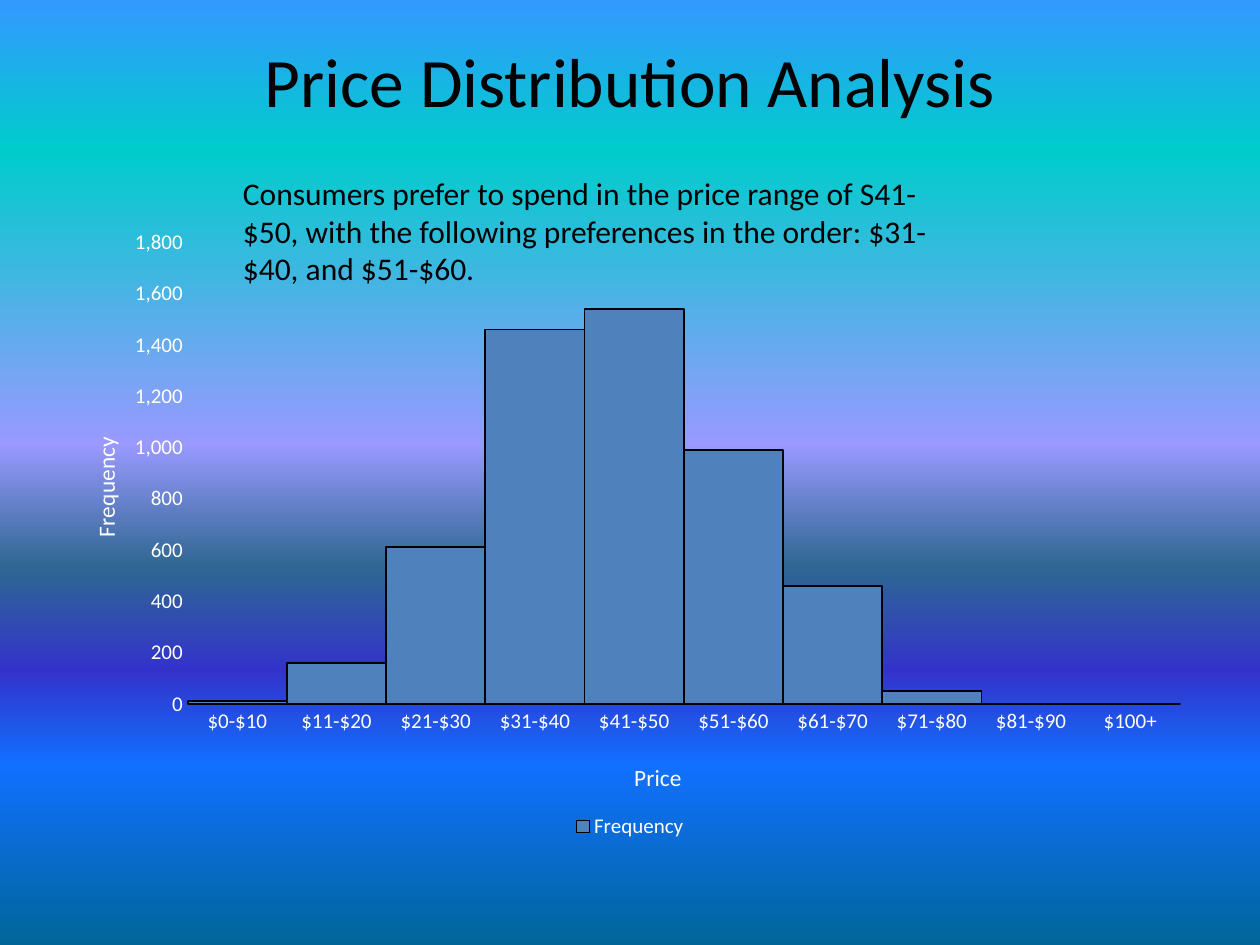
from dataclasses import dataclass
from typing import Optional

import pptx
import pptx.chart.data
import pptx.dml.color
import pptx.enum.chart
import pptx.enum.text
import pptx.oxml
import pptx.oxml.ns
import pptx.util
from pptx.util import Inches

RGB = pptx.dml.color.RGBColor.from_string
qn = pptx.oxml.ns.qn


@dataclass(frozen=True)
class Theme:
    font: str = "Calibri"
    text: str = "000000"
    chart_text: str = "FFFFFF"
    bar: str = "4F81BD"
    axis_line: str = "D9D9D9"
    title_size: float = 39.6
    body_size: float = 18
    axis_title_size: float = 13.3
    label_size: float = 12
    backdrop: tuple = (
        (0, "3399FF"), (16, "00CCCC"), (47, "9999FF"), (60, "2E6792"),
        (71, "3333CC"), (81, "1170FF"), (100, "006699"),
    )


THEME = Theme()


@dataclass(frozen=True)
class TextBlock:
    text: str
    left: float
    top: float
    width: float
    height: float
    size: float
    align: pptx.enum.text.PP_ALIGN
    inset_top: float


@dataclass(frozen=True)
class AxisStyle:
    title: str
    title_x: float
    title_y: float
    line: Optional[str]


TEXTS = (
    TextBlock("Price Distribution Analysis", 0.5, 0.3, 9, 1.25,
              THEME.title_size, pptx.enum.text.PP_ALIGN.CENTER, 0),
    TextBlock("Consumers prefer to spend in the price range of S41-$50, with the "
              "following preferences in the order: $31-$40, and $51-$60.",
              1.83, 1.33, 5.83, 1.01,
              THEME.body_size, pptx.enum.text.PP_ALIGN.LEFT, 0.05),
)
FREQUENCIES = {
    "$0-$10": 10, "$11-$20": 160, "$21-$30": 610, "$31-$40": 1460,
    "$41-$50": 1540, "$51-$60": 990, "$61-$70": 460, "$71-$80": 50,
    "$81-$90": 0, "$100+": 0,
}
PRICE_AXIS = AxisStyle("Price", 0.5, 0.86, THEME.axis_line)
FREQUENCY_AXIS = AxisStyle("Frequency", 0.02, 0.34, None)


def style_font(font, size: float, color: str) -> None:
    font.name = THEME.font
    font.size = pptx.util.Pt(size)
    font.bold = False
    font.color.rgb = RGB(color)


def paint_background(s) -> None:
    fill = s.background.fill
    fill.gradient()
    fill.gradient_angle = 270
    stops = next(s._element.iter(qn("a:gsLst")))
    for stop in list(stops):
        stops.remove(stop)
    for percent, color in THEME.backdrop:
        stops.append(pptx.oxml.parse_xml(
            f'<a:gs {pptx.oxml.ns.nsdecls("a")} pos="{percent * 1000}">'
            f'<a:srgbClr val="{color}"/></a:gs>'))


def add_text(s, block: TextBlock) -> None:
    sp = s.shapes.add_textbox(Inches(block.left), Inches(block.top),
                              Inches(block.width), Inches(block.height))
    tf = sp.text_frame
    tf.word_wrap = True
    tf.margin_top = Inches(block.inset_top)
    p = tf.paragraphs[0]
    p.text = block.text
    p.alignment = block.align
    style_font(p.font, block.size, THEME.text)


def set_layout(element, index: int, inner: bool = False, **fractions: float) -> None:
    """Fix a chart part's place, in fractions of the chart area."""
    for old in element.findall(qn("c:layout")):
        element.remove(old)
    target = '<c:layoutTarget val="inner"/>' if inner else ""
    modes = "".join(f'<c:{k}Mode val="edge"/>' for k in ("x", "y"))
    values = "".join(f'<c:{k} val="{v}"/>' for k, v in fractions.items())
    element.insert(index, pptx.oxml.parse_xml(
        f'<c:layout {pptx.oxml.ns.nsdecls("c")}><c:manualLayout>'
        f'{target}{modes}{values}</c:manualLayout></c:layout>'))


def style_axis(axis, style: AxisStyle) -> None:
    axis.has_major_gridlines = False
    axis.major_tick_mark = pptx.enum.chart.XL_TICK_MARK.NONE
    axis.minor_tick_mark = pptx.enum.chart.XL_TICK_MARK.NONE
    style_font(axis.tick_labels.font, THEME.label_size, THEME.chart_text)
    if style.line:
        axis.format.line.color.rgb = RGB(style.line)
        axis.format.line.width = pptx.util.Pt(0.75)
    else:
        axis.format.line.fill.background()
    p = axis.axis_title.text_frame.paragraphs[0]
    p.text = style.title
    style_font(p.font, THEME.axis_title_size, THEME.chart_text)
    set_layout(axis.axis_title._element, 1, x=style.title_x, y=style.title_y)


def add_histogram(s) -> None:
    data = pptx.chart.data.CategoryChartData(number_format="#,##0")
    data.categories = list(FREQUENCIES)
    data.add_series("Frequency", list(FREQUENCIES.values()))
    chart = s.shapes.add_chart(
        pptx.enum.chart.XL_CHART_TYPE.COLUMN_CLUSTERED,
        Inches(0.5), Inches(1.75), Inches(9), Inches(4.95), data).chart
    style_font(chart.font, 10, THEME.text)
    chart.has_title = False
    chart.has_legend = True
    chart.legend.position = pptx.enum.chart.XL_LEGEND_POSITION.BOTTOM
    chart.legend.include_in_layout = False
    style_font(chart.legend.font, THEME.label_size, THEME.chart_text)

    style_axis(chart.category_axis, PRICE_AXIS)
    style_axis(chart.value_axis, FREQUENCY_AXIS)
    chart.value_axis.minimum_scale = 0
    chart.value_axis.maximum_scale = 1800
    chart.value_axis.major_unit = 200
    chart.value_axis.tick_labels.number_format = "#,##0"
    chart.value_axis.tick_labels.number_format_is_linked = False

    plot = chart.plots[0]
    plot.vary_by_categories = False
    plot.gap_width = 0
    plot.overlap = -7
    bars = plot.series[0].format
    bars.fill.solid()
    bars.fill.fore_color.rgb = RGB(THEME.bar)
    bars.line.color.rgb = RGB(THEME.text)
    bars.line.width = pptx.util.Pt(1)
    plot_area = next(chart._chartSpace.iter(qn("c:plotArea")))
    set_layout(plot_area, 0, inner=True, x=0.11, y=0.035, w=0.875, h=0.74)


def main() -> None:
    prs = pptx.Presentation()
    prs.slide_width, prs.slide_height = Inches(10), Inches(7.5)
    s = prs.slides.add_slide(prs.slide_layouts[6])
    paint_background(s)
    title, summary = TEXTS
    add_text(s, title)
    add_histogram(s)
    add_text(s, summary)
    prs.save("out.pptx")


if __name__ == "__main__":
    main()
